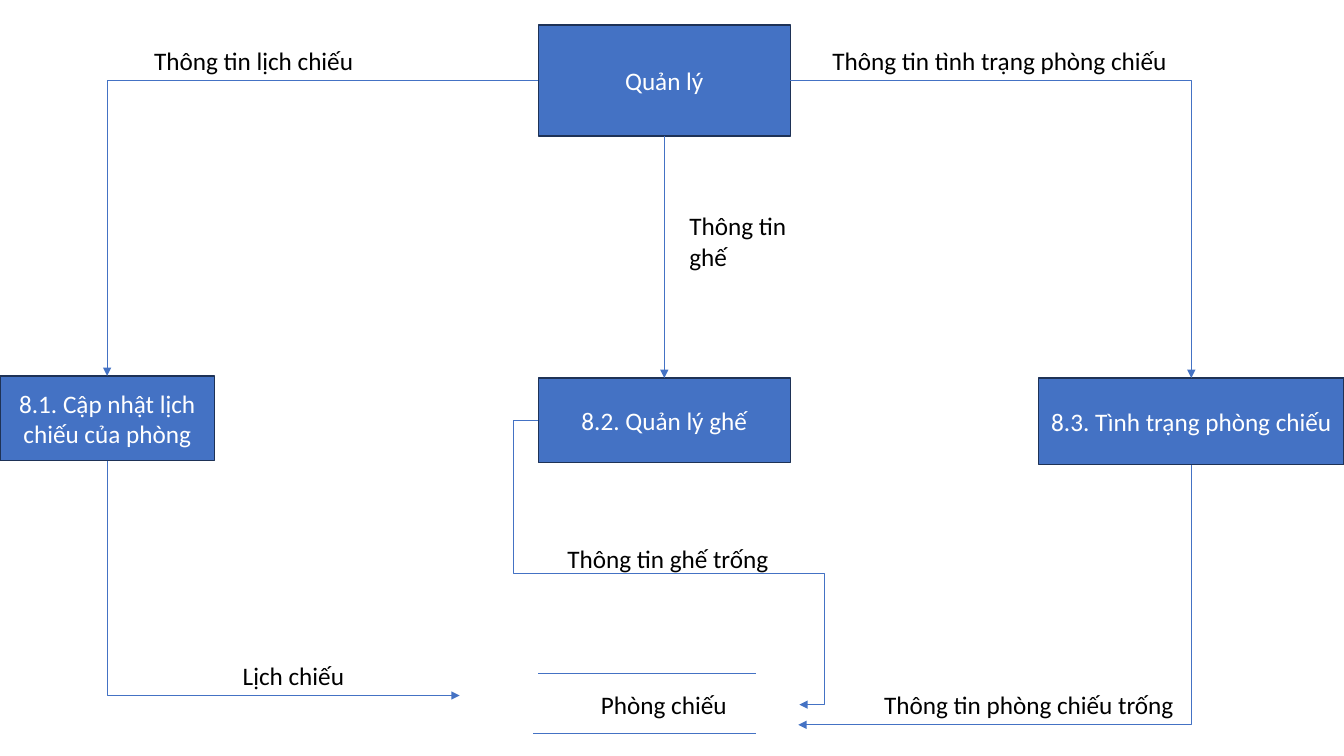
from lxml import etree
from pptx import Presentation
from pptx.dml.color import RGBColor
from pptx.enum.shapes import MSO_CONNECTOR, MSO_SHAPE
from pptx.enum.text import MSO_ANCHOR, MSO_AUTO_SIZE, PP_ALIGN
from pptx.oxml.ns import qn
from pptx.util import Pt

STRAIGHT, ELBOW = MSO_CONNECTOR.STRAIGHT, MSO_CONNECTOR.ELBOW
RECTANGLE = MSO_SHAPE.RECTANGLE
MIDDLE, TOP_ANCHOR = MSO_ANCHOR.MIDDLE, MSO_ANCHOR.TOP
FIT_SHAPE = MSO_AUTO_SIZE.SHAPE_TO_FIT_TEXT
CENTER, LEFT_ALIGN = PP_ALIGN.CENTER, PP_ALIGN.LEFT
TOP, LEFT, BOTTOM, RIGHT = range(4)

BLUE = RGBColor(0x44, 0x72, 0xC4)
NAVY = RGBColor(0x1E, 0x32, 0x56)
WHITE = RGBColor(0xFF, 0xFF, 0xFF)
BLACK = RGBColor(0x00, 0x00, 0x00)
FONT = "Calibri"

# name: (text, left, top, width, height)
BOXES = {
    "manager": ("Quản lý", 384.5, 18, 180, 79.2),
    "schedule": ("8.1. Cập nhật lịch chiếu của phòng", 0, 268.5, 153.2, 60.5),
    "seats": ("8.2. Quản lý ghế", 384.5, 270, 180, 60.5),
    "status": ("8.3. Tình trạng phòng chiếu", 742, 270, 218, 62),
}
# text, left, top, width, height
LABELS = [
    ("Thông tin lịch chiếu", 103, 29, 237.5, 29),
    ("Thông tin tình trạng phòng chiếu", 587.5, 29, 270, 29),
    ("Thông tin ghế", 485.3, 147, 102, 51),
    ("Thông tin ghế trống", 398.2, 384.5, 180, 29),
    ("Lịch chiếu", 166.3, 468, 128, 29),
    ("Phòng chiếu", 422.2, 489, 149.5, 29),
    ("Thông tin phòng chiếu trống", 624.5, 489, 240.5, 29),
]
# start box and side, end box and side, kind
BOX_ARROWS = [
    ("manager", LEFT, "schedule", TOP, ELBOW),
    ("manager", BOTTOM, "seats", TOP, STRAIGHT),
    ("manager", RIGHT, "status", TOP, ELBOW),
]
# start box, arrow tip beside the data store
STORE_DROPS = [("schedule", (328.3, 496.8)), ("status", (570.2, 517.7))]
SEAT_TIP = (571, 503.3)
SEAT_BENDS = (-9700, 53900, 109700)
# left, right, y
STORE_RULES = [(384.5, 540, 481), (380.9, 540, 524.2)]


def write(frame, text, color, align=LEFT_ALIGN, anchor=TOP_ANCHOR):
    frame.word_wrap = True
    frame.vertical_anchor = anchor
    para = frame.paragraphs[0]
    para.alignment = align
    span = para.add_run()
    span.text = text
    span.font.name, span.font.size = FONT, Pt(18)
    span.font.color.rgb = color


def add_box(page, text, *place):
    box = page.shapes.add_shape(RECTANGLE, *map(Pt, place))
    box.shadow.inherit = False
    box.fill.solid()
    box.fill.fore_color.rgb = BLUE
    box.line.color.rgb = NAVY
    box.line.width = Pt(1)
    write(box.text_frame, text, WHITE, CENTER, MIDDLE)
    return box


def add_label(page, text, *place):
    label = page.shapes.add_textbox(*map(Pt, place))
    write(label.text_frame, text, BLACK)
    label.text_frame.auto_size = FIT_SHAPE


def side_point(name, side):
    """Middle of one side of a named box."""
    _, left, top, width, height = BOXES[name]
    across, down = {TOP: (0.5, 0), LEFT: (0, 0.5),
                    BOTTOM: (0.5, 1), RIGHT: (1, 0.5)}[side]
    return left + width * across, top + height * down


def add_line(page, kind, start, end, arrow=True):
    line = page.shapes.add_connector(kind, *map(Pt, (*start, *end)))
    line.line.color.rgb = BLUE
    line.line.width = Pt(0.5)
    properties = line.element.spPr
    if arrow:
        outline = properties.find(qn("a:ln"))
        etree.SubElement(outline, qn("a:tailEnd"), type="triangle")
    etree.SubElement(properties, qn("a:effectLst"))
    return line


def set_bends(line, preset, bends=()):
    geometry = line.element.spPr.find(qn("a:prstGeom"))
    geometry.set("prst", preset)
    adjustments = geometry.find(qn("a:avLst"))
    for number, value in enumerate(bends, 1):
        etree.SubElement(adjustments, qn("a:gd"), name=f"adj{number}",
                         fmla=f"val {value}")


def turn_down_first(line, start, end):
    """Rotate a one-bend connector a quarter turn so it leaves downwards."""
    (x1, y1), (x2, y2) = start, end
    width, height = abs(y2 - y1), abs(x2 - x1)
    line.left = Pt((x1 + x2 - width) / 2)
    line.top = Pt((y1 + y2 - height) / 2)
    line.width, line.height = Pt(width), Pt(height)
    transform = line.element.spPr.find(qn("a:xfrm"))
    transform.set("rot", str(90 * 60000))
    transform.set("flipH", "0")
    transform.set("flipV", "1" if x2 > x1 else "0")


def main():
    deck = Presentation()
    deck.slide_width, deck.slide_height = Pt(960), Pt(540)
    page = deck.slides.add_slide(deck.slide_layouts[6])

    boxes = {name: add_box(page, *box) for name, box in BOXES.items()}

    for source, out_side, target, in_side, kind in BOX_ARROWS:
        arrow = add_line(page, kind, side_point(source, out_side),
                         side_point(target, in_side))
        arrow.begin_connect(boxes[source], out_side)
        arrow.end_connect(boxes[target], in_side)
        if kind == ELBOW:
            set_bends(arrow, "bentConnector2")

    for source, tip in STORE_DROPS:
        start = side_point(source, BOTTOM)
        arrow = add_line(page, ELBOW, start, tip)
        arrow.begin_connect(boxes[source], BOTTOM)
        set_bends(arrow, "bentConnector2")
        turn_down_first(arrow, start, tip)

    seat_arrow = add_line(page, ELBOW, side_point("seats", LEFT), SEAT_TIP)
    seat_arrow.begin_connect(boxes["seats"], LEFT)
    set_bends(seat_arrow, "bentConnector5", SEAT_BENDS)

    for left, right, y in STORE_RULES:
        add_line(page, STRAIGHT, (left, y), (right, y), arrow=False)
    for label in LABELS:
        add_label(page, *label)

    deck.save("out.pptx")


if __name__ == "__main__":
    main()
